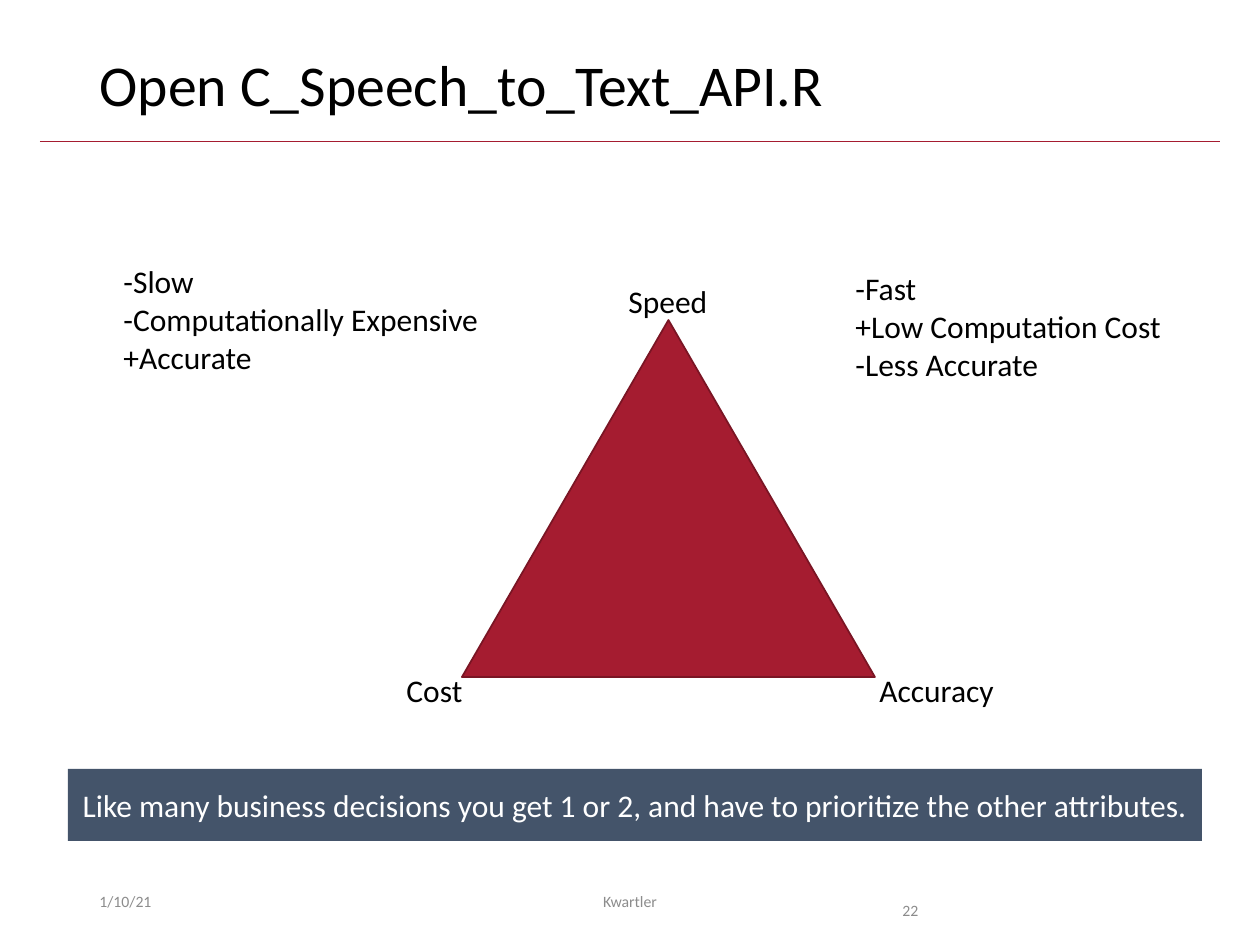
from lxml import etree
from pptx import Presentation
from pptx import util as u
from pptx.dml.color import RGBColor
from pptx.enum import shapes, text
from pptx.oxml.ns import qn

SCALE = u.Inches(1) / 126
FONT = "Calibri"
COLORS = {
    "crimson": "A51C30",
    "edge": "7A1524",
    "slate": "44546A",
    "grey": "8C8C8C",
    "black": "000000",
    "white": "FFFFFF",
}


def px(*lengths):
    return [round(length * SCALE) for length in lengths]


def color(name):
    return RGBColor.from_string(COLORS[name])


def write(shape, words, size=18, ink="black", align="LEFT", anchor="TOP",
          spacing=None, wrap=True, grow=False):
    frame = shape.text_frame
    frame.word_wrap = wrap
    frame.vertical_anchor = getattr(text.MSO_ANCHOR, anchor)
    frame.auto_size = (text.MSO_AUTO_SIZE.SHAPE_TO_FIT_TEXT if grow
                       else text.MSO_AUTO_SIZE.NONE)
    for index, line in enumerate(words.split("\n")):
        para = frame.add_paragraph() if index else frame.paragraphs[0]
        para.alignment = getattr(text.PP_ALIGN, align)
        if spacing:
            para.line_spacing = spacing
        span = para.add_run()
        span.text = line
        span.font.name = FONT
        span.font.size = u.Pt(size)
        span.font.color.rgb = color(ink)


def add_text(page, box, words, **style):
    write(page.shapes.add_textbox(*px(*box)), words, **style)


def add_filled(page, kind, box, fill, edge=None):
    shape = page.shapes.add_shape(kind, *px(*box))
    shape.shadow.inherit = False
    shape.fill.solid()
    shape.fill.fore_color.rgb = color(fill)
    if edge:
        shape.line.color.rgb = color(edge)
        shape.line.width = u.Pt(1)
    else:
        shape.line.fill.background()
    return shape


def header(page, box):
    left, top, width, height = box
    rule = page.shapes.add_connector(
        shapes.MSO_CONNECTOR.STRAIGHT,
        *px(left, top + height, left + width, top + height))
    rule.line.color.rgb = color("crimson")
    rule.line.width = u.Pt(0.5)
    etree.SubElement(rule._element.spPr, qn("a:effectLst"))
    title = page.shapes.title
    title.left, title.top, title.width, title.height = px(
        left + 47, top, width - 94, 82)
    write(title, "Open C_Speech_to_Text_API.R", size=33, spacing=0.9)


def tradeoff_triangle(page, box):
    left, top, width, height = box
    add_filled(page, shapes.MSO_SHAPE.ISOSCELES_TRIANGLE, box, "crimson", "edge")
    corners = [
        ("Speed", width // 2 - 52, -44, 106),
        ("Cost", -68, height - 12, 82),
        ("Accuracy", width - 8, height - 12, 141),
    ]
    for label, across, down, label_width in corners:
        add_text(page, (left + across, top + down, label_width, 50), label,
                 wrap=False, grow=True)


def method_notes(page, box):
    left, top, width, height = box
    add_text(page, (left + width - 335, top + 7, 335, height),
             "-Fast\n+Low Computation Cost\n-Less Accurate", wrap=False, grow=True)
    add_text(page, (left, top, 384, height),
             "-Slow\n-Computationally Expensive\n+Accurate", wrap=False, grow=True)


def takeaway(page, box):
    band = add_filled(page, shapes.MSO_SHAPE.RECTANGLE, box, "slate")
    write(band, "Like many business decisions you get 1 or 2, and have to "
          "prioritize the other attributes.", ink="white", align="CENTER",
          anchor="MIDDLE")


def footer(page, box):
    left, top, width, height = box
    small = {"size": 9, "ink": "grey"}
    add_text(page, (left, top, 284, height), "1/10/21", anchor="MIDDLE", **small)
    add_text(page, (left + 330, top, 426, height), "Kwartler", align="CENTER",
             anchor="MIDDLE", **small)
    add_text(page, (left + width - 118, top, 118, height), "22", spacing=2.0,
             **small)


def main():
    deck = Presentation()
    deck.slide_width, deck.slide_height = px(1260, 945)
    page = deck.slides.add_slide(deck.slide_layouts[5])
    header(page, (40, 50, 1180, 91))
    footer(page, (87, 876, 921, 50))
    tradeoff_triangle(page, (462, 320, 413, 357))
    method_notes(page, (111, 256, 1067, 127))
    takeaway(page, (68, 769, 1134, 72))
    deck.save("out.pptx")


if __name__ == "__main__":
    main()
